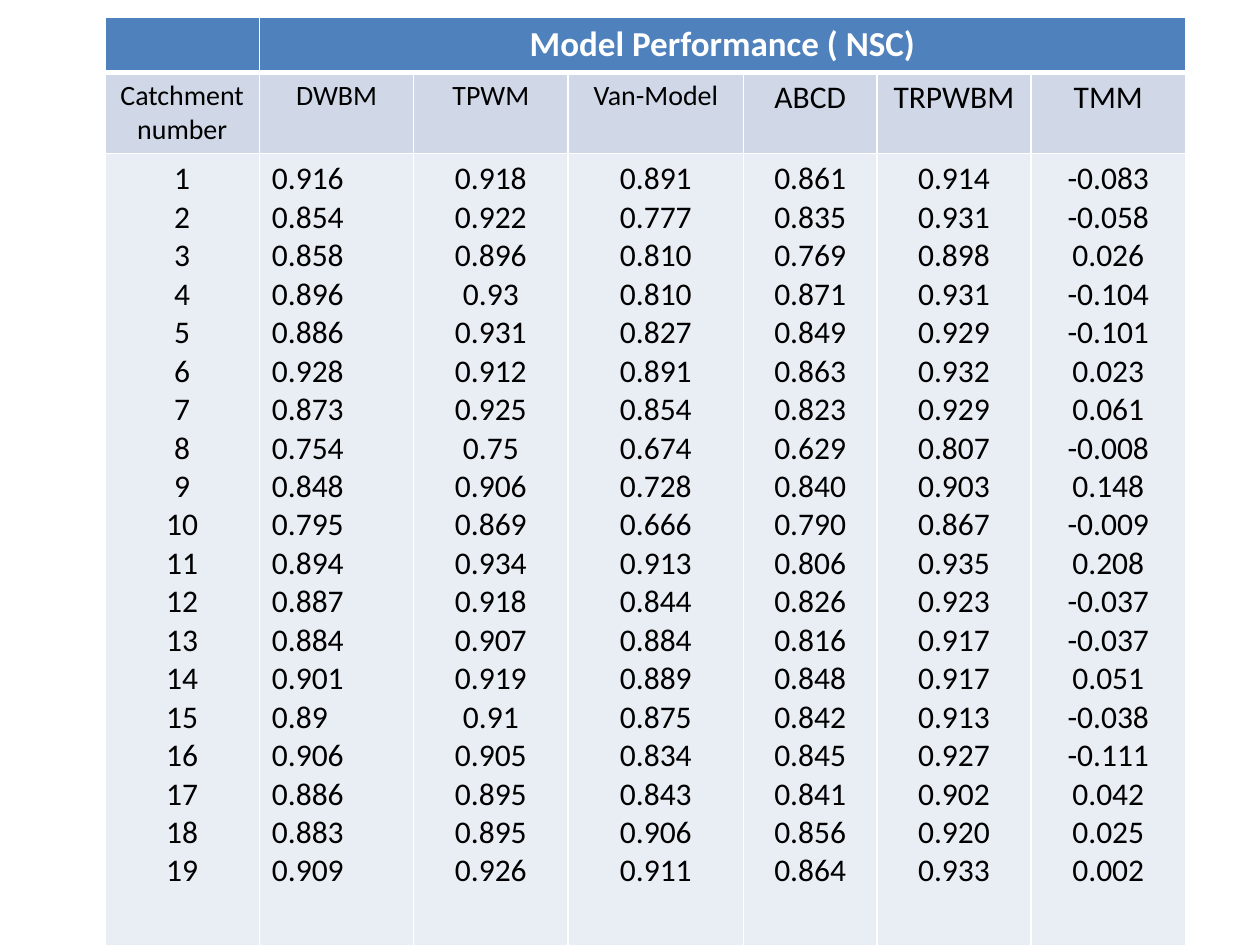
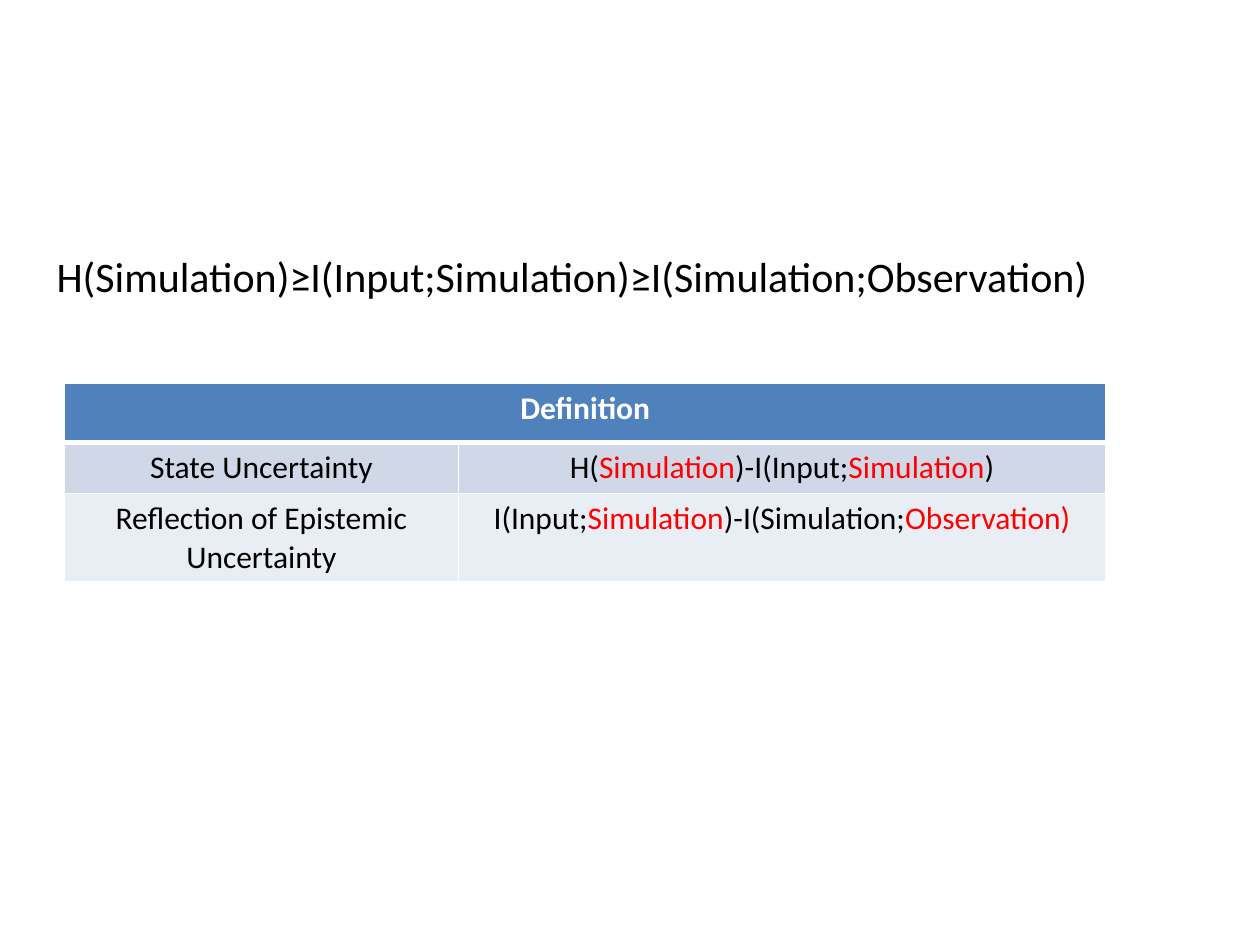
from lxml.etree import SubElement
from pptx import Presentation
from pptx.dml.color import RGBColor
from pptx.enum.text import MSO_AUTO_SIZE as AutoSize, PP_ALIGN as Align
from pptx.oxml.ns import qn
from pptx.util import Pt

WHITE = RGBColor(0xFF, 0xFF, 0xFF)
BLACK = RGBColor(0x00, 0x00, 0x00)
RED = RGBColor(0xFF, 0x00, 0x00)
HEADER_BLUE = RGBColor(0x4F, 0x81, 0xBD)
DARK_BAND = RGBColor(0xD0, 0xD8, 0xE8)
LIGHT_BAND = RGBColor(0xE9, 0xED, 0xF4)
ROW_FILLS = (HEADER_BLUE, DARK_BAND, LIGHT_BAND)
FONT = "Calibri"

MODELS = {
    "DWBM": "0.916 0.854 0.858 0.896 0.886 0.928 0.873 0.754 0.848 0.795 "
            "0.894 0.887 0.884 0.901 0.89 0.906 0.886 0.883 0.909",
    "TPWM": "0.918 0.922 0.896 0.93 0.931 0.912 0.925 0.75 0.906 0.869 "
            "0.934 0.918 0.907 0.919 0.91 0.905 0.895 0.895 0.926",
    "Van-Model": "0.891 0.777 0.810 0.810 0.827 0.891 0.854 0.674 0.728 0.666 "
                 "0.913 0.844 0.884 0.889 0.875 0.834 0.843 0.906 0.911",
    "ABCD": "0.861 0.835 0.769 0.871 0.849 0.863 0.823 0.629 0.840 0.790 "
            "0.806 0.826 0.816 0.848 0.842 0.845 0.841 0.856 0.864",
    "TRPWBM": "0.914 0.931 0.898 0.931 0.929 0.932 0.929 0.807 0.903 0.867 "
              "0.935 0.923 0.917 0.917 0.913 0.927 0.902 0.920 0.933",
    "TMM": "-0.083 -0.058 0.026 -0.104 -0.101 0.023 0.061 -0.008 0.148 -0.009 "
           "0.208 -0.037 -0.037 0.051 -0.038 -0.111 0.042 0.025 0.002",
}
DEFINITIONS = (
    ("State Uncertainty",
     (("H(", BLACK), ("Simulation", RED), (")-I(Input;", BLACK),
      ("Simulation", RED), (")", BLACK))),
    ("Reflection of Epistemic Uncertainty",
     (("I(Input;", BLACK), ("Simulation", RED), (")-I(Simulation;", BLACK),
      ("Observation)", RED))),
)


def add_span(para, text, size, color=BLACK, bold=False):
    """Append one formatted run to a paragraph."""
    span = para.add_run()
    span.text = text
    span.font.name = FONT
    span.font.size = Pt(size)
    span.font.color.rgb = color
    span.font.bold = bold


def write_cell(cell, lines, size, color=BLACK, bold=False, align=Align.CENTER):
    """Write lines into a cell, each a list of (text, colour) or a plain string."""
    frame = cell.text_frame
    for index, line in enumerate(lines):
        para = frame.add_paragraph() if index else frame.paragraphs[0]
        para.alignment = align
        spans = ((line, color),) if isinstance(line, str) else line
        for text, span_color in spans:
            add_span(para, text, size, span_color, bold)


def add_border(cell, side, width):
    """Draw one white edge of a cell."""
    line = SubElement(cell._tc.get_or_add_tcPr(), qn(f"a:ln{side}"), w=str(Pt(width)))
    fill = SubElement(line, qn("a:solidFill"))
    SubElement(fill, qn("a:srgbClr"), val=str(WHITE))


def add_banded_table(page, left, top, widths, heights):
    """Add a table with a blue header, two band colours and white rules."""
    table = page.shapes.add_table(len(heights), len(widths), Pt(left), Pt(top),
                                  Pt(sum(widths)), Pt(sum(heights))).table
    for column, width in zip(table.columns, widths):
        column.width = Pt(width)
    for index, (row, height) in enumerate(zip(table.rows, heights)):
        row.height = Pt(height)
        for cell in row.cells:
            for side in "LRTB":
                under_header = (index, side) in ((0, "B"), (1, "T"))
                add_border(cell, side, 3 if under_header else 1)
            cell.fill.solid()
            cell.fill.fore_color.rgb = ROW_FILLS[index]
    return table


def write_header(table, first_column, text, size):
    """Merge the header row from a column to the end and write its title."""
    cell = table.cell(0, first_column)
    cell.merge(table.cell(0, len(table.columns) - 1))
    write_cell(cell, [text], size, WHITE, True)


def build_performance_page(page):
    """Show the score of each model for every catchment."""
    widths = (88.2, 88.2, 88.2, 100.4, 76.1, 88.2, 88.2)
    table = add_banded_table(page, 60, 9.7, widths, (31.2, 46.2, 453))
    write_header(table, 1, "Model Performance ( NSC)", 20)
    write_cell(table.cell(1, 0), ["Catchment", "number"], 16)
    write_cell(table.cell(2, 0), [str(number) for number in range(1, 20)], 18)
    for column, (model, scores) in enumerate(MODELS.items(), 1):
        write_cell(table.cell(1, column), [model], 16 if column < 4 else 18)
        align = Align.LEFT if column == 1 else Align.CENTER
        write_cell(table.cell(2, column), scores.split(), 18, align=align)


def build_definition_page(page):
    """Show the information inequality and the uncertainty definitions."""
    box = page.shapes.add_textbox(Pt(25.2), Pt(139.7), Pt(660), Pt(36))
    frame = box.text_frame
    frame.word_wrap = True
    frame.auto_size = AutoSize.SHAPE_TO_FIT_TEXT
    add_span(frame.paragraphs[0],
             "H(Simulation)≥I(Input;Simulation)≥I(Simulation;Observation)", 24)
    table = add_banded_table(page, 36.9, 219, (225, 370), (33.7, 29.3, 50.4))
    write_header(table, 0, "Definition", 18)
    for row, (name, formula) in enumerate(DEFINITIONS, 1):
        write_cell(table.cell(row, 0), [name], 18)
        write_cell(table.cell(row, 1), [formula], 18)


def main():
    """Build and save the deck."""
    deck = Presentation()
    deck.slide_width, deck.slide_height = Pt(720), Pt(540)
    blank = deck.slide_layouts[6]
    for build in (build_performance_page, build_definition_page):
        build(deck.slides.add_slide(blank))
    deck.save("out.pptx")


main()
